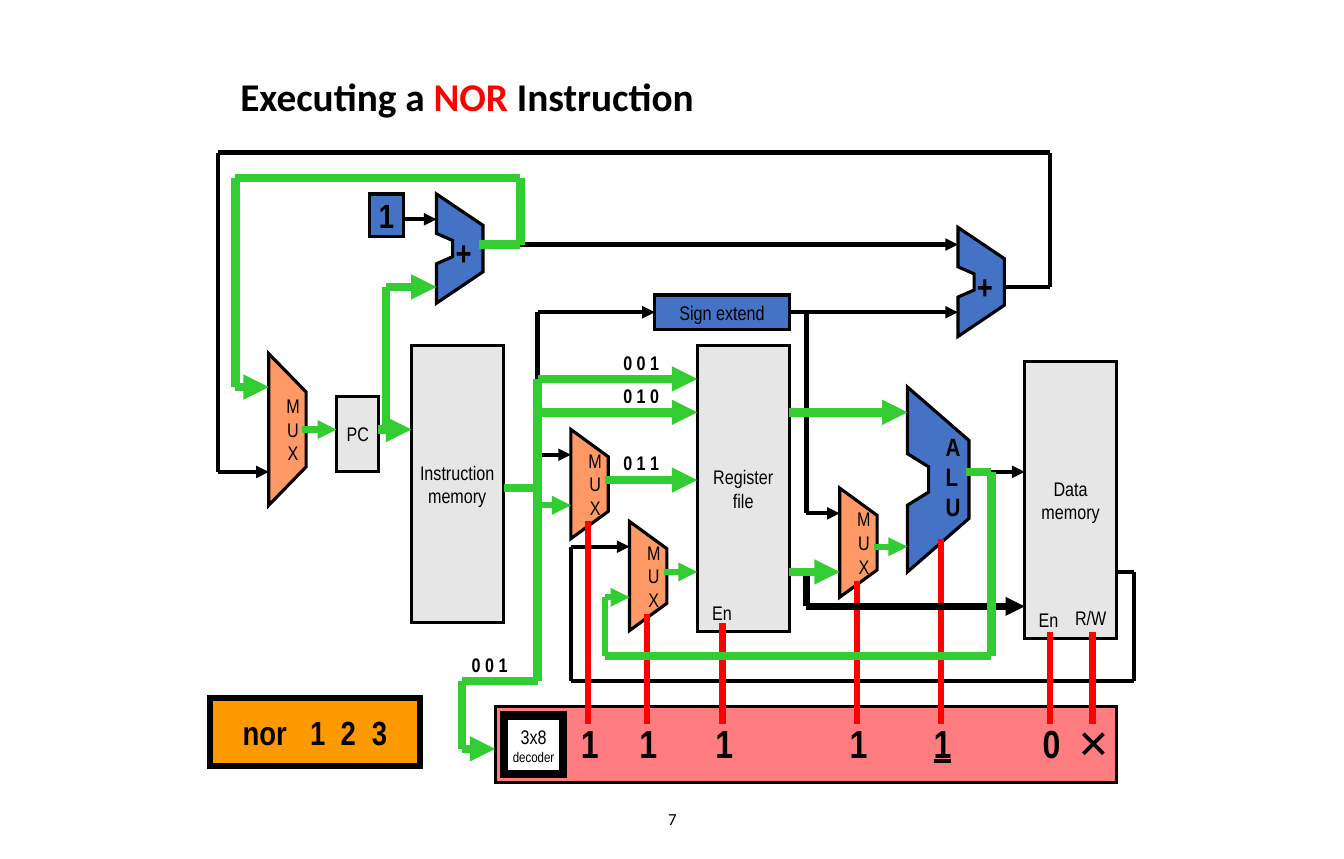
"""Build the datapath slide that traces a NOR instruction."""
from typing import NamedTuple, Optional

from lxml.etree import SubElement
from pptx import Presentation
from pptx.dml.color import RGBColor
from pptx.enum.shapes import MSO_CONNECTOR as Link, MSO_SHAPE as Preset
from pptx.enum.text import MSO_ANCHOR as Anchor, MSO_AUTO_SIZE as AutoSize, PP_ALIGN as Align
from pptx.oxml.ns import qn
from pptx.util import Emu, Pt

PX = 9144
BLACK = RGBColor(0x00, 0x00, 0x00)
WHITE = RGBColor(0xFF, 0xFF, 0xFF)
GRAY = RGBColor(0xE7, 0xE6, 0xE6)
BLUE = RGBColor(0x44, 0x72, 0xC4)
PEACH = RGBColor(0xFF, 0x99, 0x66)
PINK = RGBColor(0xFF, 0x7C, 0x80)
ORANGE = RGBColor(0xFF, 0x99, 0x00)
RED = RGBColor(0xFF, 0x00, 0x00)
GREEN = RGBColor(0x33, 0xCC, 0x33)
NARROW, CALIBRI = "Arial Narrow", "Calibri"
LEFT_SIDE, RIGHT_SIDE = 1, 3


class Box(NamedTuple):
    name: str
    text: str
    area: tuple
    fill: RGBColor = GRAY
    size: float = 14
    bold: bool = False
    border: float = 2.25


class Wire(NamedTuple):
    points: tuple
    color: RGBColor = BLACK
    width: float = 3
    arrow: bool = True
    start_on: Optional[tuple] = None
    end_on: Optional[tuple] = None


class Label(NamedTuple):
    text: str
    area: tuple
    size: float = 14
    bold: bool = False
    underline: bool = False


class Control(NamedTuple):
    x: int
    top: int
    bit: str
    offset: int = 17
    width: int = 38


BOXES = [
    Box("pc", "PC", (333, 392, 42, 75)),
    Box("instructions", "Instruction\nmemory", (407, 342, 91, 274)),
    Box("registers", "Register\nfile", (690, 342, 91, 283)),
    Box("data", "Data\nmemory", (1014, 358, 91, 274)),
    Box("controls", "", (490, 699, 615, 75), PINK),
    Box("extend", "Sign extend", (648, 292, 133, 34), BLUE),
    Box("one", "1", (366, 192, 33, 42), BLUE, 23.9, True),
    Box("decoder", "3x8\ndecoder", (499, 708, 58, 58), WHITE, border=6),
    Box("instruction", "nor\t1\t2\t3", (208, 691, 208, 67), ORANGE, 23.9, True, 4.5),
]
IDLE_WIRES = [
    Wire(((781, 309), (948, 309)), start_on=("extend", RIGHT_SIDE)),
    Wire(((474, 242), (948, 242))),
    Wire(((1106, 566), (1122, 566), (1122, 674), (565, 674), (565, 541), (623, 541))),
    Wire(((989, 284), (1039, 284), (1039, 151), (216, 151), (216, 467), (266, 467))),
    Wire(((532, 375), (532, 309), (648, 309)), end_on=("extend", LEFT_SIDE)),
    Wire(((399, 217), (432, 217))),
    Wire(((532, 450), (565, 450))),
    Wire(((798, 309), (798, 508), (831, 508))),
    Wire(((956, 467), (1014, 467))),
]
STORE_WIRE = Wire(((798, 566), (798, 600), (1014, 600)), width=4.5)
ACTIVE_WIRES = [
    Wire(points, GREEN, 6) for points in (
        ((474, 242), (515, 242), (515, 176), (233, 176), (233, 383), (266, 383)),
        ((382, 425), (382, 284), (432, 284)),
        ((374, 425), (407, 425)),
        ((532, 375), (532, 674), (457, 674), (457, 741), (490, 741)),
        ((532, 375), (690, 375)),
        ((532, 408), (690, 408)),
        ((599, 475), (690, 475)),
        ((781, 566), (831, 566)),
        ((781, 408), (898, 408)),
    )
] + [
    Wire(points, GREEN, 6, False) for points in (
        ((499, 483), (532, 483)),
        ((956, 467), (981, 467), (981, 649), (599, 649)),
    )
] + [
    Wire(points, GREEN, 4.5) for points in (
        ((599, 649), (599, 591), (623, 591)),
        ((299, 425), (333, 425)),
        ((657, 566), (690, 566)),
        ((532, 500), (565, 500)),
        ((865, 541), (898, 541)),
    )
]
MUXES = [(266, 350, 37, 150), (565, 425, 37, 108), (623, 516, 37, 108), (831, 483, 37, 108)]
ADDERS = [(432, 192, 46, 108), (948, 225, 46, 108), (898, 383, 61, 183)]
MUX_OUTLINE = ((0, 1), (1, 0.75), (1, 0.25), (0, 0))
ADDER_OUTLINE = ((1, 0.29), (0, 0), (0, 0.36), (0.34, 0.43),
                 (0.34, 0.57), (0, 0.64), (0, 1), (1, 0.71))
CONTROLS = [
    Control(582, 516, "1"), Control(640, 608, "1"), Control(715, 616, "1"),
    Control(848, 575, "1"), Control(931, 533, "1"), Control(1039, 625, "0"),
    Control(1081, 625, "✕", 25, 59),
]
LABELS = [
    Label("+", (441, 225, 36, 50), 23.9, True),
    Label("+", (957, 258, 36, 50), 23.9, True),
    Label("A\nL\nU", (926, 422, 35, 100), 17.9, True),
    Label("0 0 1", (607, 342, 56, 34), bold=True),
    Label("0 1 0", (607, 375, 56, 34), bold=True),
    Label("0 1 1", (607, 441, 56, 34), bold=True),
    Label("0 0 1", (457, 641, 56, 34), bold=True),
    Label("R/W", (1054, 595, 51, 34)),
    Label("En", (1018, 597, 40, 34)),
    Label("En", (695, 590, 40, 34)),
]


def scaled(lengths: tuple) -> list:
    """Turn px lengths into EMU."""
    return [Emu(length * PX) for length in lengths]


def write(para, text: str, *, size: float, bold: bool = False, underline: bool = False,
          color: RGBColor = BLACK, face: str = NARROW) -> None:
    """Add one formatted span to a paragraph."""
    span = para.add_run()
    span.text = text
    font = span.font
    font.name, font.size, font.bold = face, Pt(size), bold
    font.underline = underline
    font.color.rgb = color


def write_lines(frame, text: str, *, align=Align.CENTER, **style) -> None:
    """Write each line of text as a paragraph."""
    for index, line in enumerate(text.split("\n")):
        para = frame.add_paragraph() if index else frame.paragraphs[0]
        para.alignment = align
        write(para, line, **style)


def dress(shape, fill: RGBColor, border: float, left_inset: int = 0) -> None:
    """Give a shape its fill, sharp black border and centred text area."""
    shape.shadow.inherit = False
    shape.fill.solid()
    shape.fill.fore_color.rgb = fill
    shape.line.color.rgb = BLACK
    shape.line.width = Pt(border)
    SubElement(shape.element.spPr.find(qn("a:ln")), qn("a:miter"), lim="800000")
    frame = shape.text_frame
    frame.word_wrap = False
    frame.vertical_anchor = Anchor.MIDDLE
    frame.margin_left = Emu(left_inset * PX)
    frame.margin_right = frame.margin_top = frame.margin_bottom = 0


def draw_box(page, box: Box):
    """Draw a rectangle with its text."""
    shape = page.shapes.add_shape(Preset.RECTANGLE, *scaled(box.area))
    dress(shape, box.fill, box.border)
    if box.text:
        write_lines(shape.text_frame, box.text, size=box.size, bold=box.bold)
    return shape


def draw_outline(page, area: tuple, outline: tuple, fill: RGBColor):
    """Draw a closed outline stretched over an area."""
    left, top, width, height = area
    points = [(round(left + width * x), round(top + height * y)) for x, y in outline]
    builder = page.shapes.build_freeform(*points[0], scale=PX)
    builder.add_line_segments(points[1:], close=True)
    shape = builder.convert_to_shape()
    dress(shape, fill, 2.25, left_inset=11)
    return shape


def draw_wire(page, wire: Wire, shapes: dict) -> None:
    """Draw a wire as straight connectors from corner to corner."""
    links = []
    for start, end in zip(wire.points, wire.points[1:]):
        link = page.shapes.add_connector(Link.STRAIGHT, *scaled(start + end))
        link.line.color.rgb = wire.color
        link.line.width = Pt(wire.width)
        SubElement(link.element.spPr, qn("a:effectLst"))
        links.append(link)
    if wire.arrow:
        SubElement(links[-1].element.spPr.find(qn("a:ln")), qn("a:tailEnd"), type="triangle")
    if wire.start_on:
        links[0].begin_connect(shapes[wire.start_on[0]], wire.start_on[1])
    if wire.end_on:
        links[-1].end_connect(shapes[wire.end_on[0]], wire.end_on[1])


def draw_label(page, label: Label) -> None:
    """Draw a free-standing label."""
    frame = page.shapes.add_textbox(*scaled(label.area)).text_frame
    frame.word_wrap = False
    frame.auto_size = AutoSize.SHAPE_TO_FIT_TEXT
    write_lines(frame, label.text, align=Align.LEFT, size=label.size,
                bold=label.bold, underline=label.underline)


def set_tabs(frame, inset: int, stops: tuple) -> None:
    """Left-align the first paragraph on tab stops."""
    frame.margin_left = Emu(inset * PX)
    para = frame.paragraphs[0]
    para.alignment = Align.LEFT
    tabs = SubElement(para._p.get_or_add_pPr(), qn("a:tabLst"))
    for stop in stops:
        SubElement(tabs, qn("a:tab"), pos=str(stop * PX), algn="l")


def main() -> None:
    """Build and save the deck."""
    deck = Presentation()
    deck.slide_width, deck.slide_height = scaled((1330, 850))
    page = deck.slides.add_slide(deck.slide_layouts[6])

    shapes = {box.name: draw_box(page, box) for box in BOXES}
    shapes["decoder"].text_frame.paragraphs[1].runs[0].font.size = Pt(10)
    set_tabs(shapes["instruction"].text_frame, 32, (67, 97, 128))
    for wire in IDLE_WIRES:
        draw_wire(page, wire, shapes)
    for area in MUXES:
        mux = draw_outline(page, area, MUX_OUTLINE, PEACH)
        write_lines(mux.text_frame, "M\nU\nX", size=14)
    for area in ADDERS:
        draw_outline(page, area, ADDER_OUTLINE, BLUE)

    control_wires = [Wire(((control.x, control.top), (control.x, 716)), RED, 4.5, False)
                     for control in CONTROLS]
    for wire in control_wires + [STORE_WIRE] + ACTIVE_WIRES:
        draw_wire(page, wire, shapes)
    bits = [Label(control.bit, (control.x - control.offset, 707, control.width, 57), 27.9,
                  control.bit != "✕", control.x == 931) for control in CONTROLS]
    for label in LABELS + bits:
        draw_label(page, label)

    title = page.shapes.add_textbox(*scaled((228, 67, 875, 92))).text_frame
    title.word_wrap = True
    for text, color in (("Executing a ", BLACK), ("NOR", RED), (" Instruction", BLACK)):
        write(title.paragraphs[0], text, size=28, bold=True, color=color, face=CALIBRI)
    number = page.shapes.add_textbox(*scaled((441, 788, 449, 45))).text_frame
    number.word_wrap = True
    number.vertical_anchor = Anchor.MIDDLE
    write_lines(number, "7", size=12, face=CALIBRI)
    deck.save("out.pptx")


if __name__ == "__main__":
    main()
